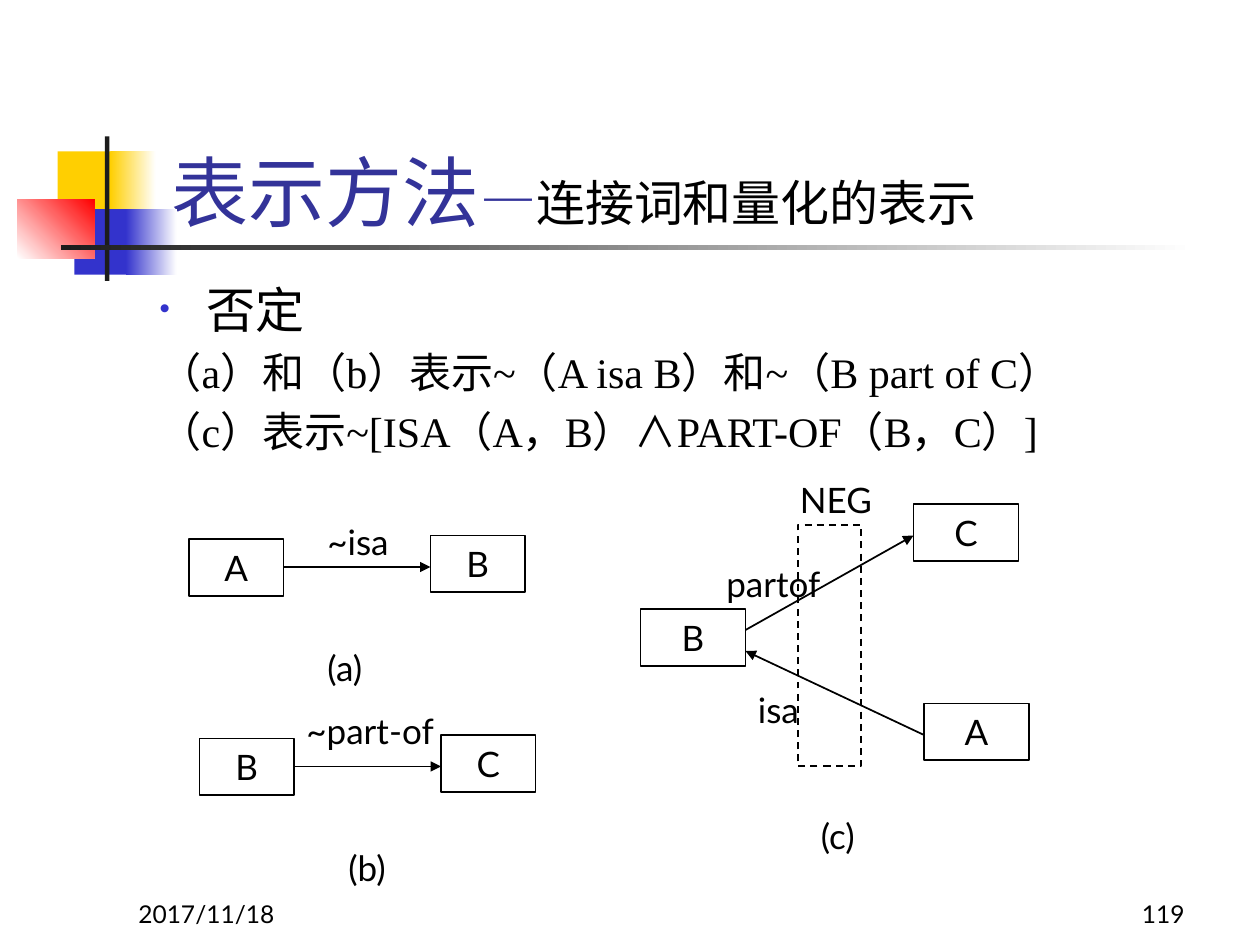
"""Build the slide on negation in semantic networks."""
from lxml import etree
from pptx import Presentation
from pptx.dml.color import RGBColor
from pptx.enum.dml import MSO_LINE_DASH_STYLE as DASH
from pptx.enum.shapes import MSO_CONNECTOR as CONNECTOR, MSO_SHAPE as SHAPE
from pptx.enum.text import MSO_ANCHOR as ANCHOR, MSO_AUTO_SIZE as AUTO_SIZE, PP_ALIGN as ALIGN
from pptx.oxml.ns import qn
from pptx.util import Pt

color = RGBColor.from_string
BLACK, BLUE, DARK = "000000", "3333CC", "1C1C1C"


def add_label(slide, text, left, top, width, height, size=20, align=ALIGN.LEFT,
              anchor=ANCHOR.TOP, boxed=False):
    """Add a line of text, optionally in an outlined box."""
    place = Pt(left), Pt(top), Pt(width), Pt(height)
    if boxed:
        shape = slide.shapes.add_shape(SHAPE.RECTANGLE, *place)
        shape.shadow.inherit = False
        shape.fill.background()
        shape.line.color.rgb = color(BLACK)
        shape.line.width = Pt(1)
    else:
        shape = slide.shapes.add_textbox(*place)
    frame = shape.text_frame
    frame.word_wrap = True
    frame.vertical_anchor = anchor
    frame.text = text
    paragraph = frame.paragraphs[0]
    paragraph.alignment = align
    paragraph.font.size = Pt(size)
    paragraph.font.name = "Lato"
    paragraph.font.color.rgb = color(BLACK)
    return shape


def add_arrow(slide, x1, y1, x2, y2):
    """Add a line with an arrowhead at its end."""
    arrow = slide.shapes.add_connector(CONNECTOR.STRAIGHT, Pt(x1), Pt(y1), Pt(x2), Pt(y2))
    arrow.line.color.rgb = color(BLACK)
    arrow.line.width = Pt(1)
    etree.SubElement(arrow.line._get_or_add_ln(), qn("a:tailEnd"), type="triangle")
    etree.SubElement(arrow._element.spPr, qn("a:effectLst"))


presentation = Presentation()
presentation.slide_width, presentation.slide_height = Pt(720), Pt(540)
slide = presentation.slides.add_slide(presentation.slide_layouts[1])
title, body = slide.placeholders

decorations = [
    (33, 86.5, 34.5, 37.5, ["FFCF01"], 0),
    (63, 86.5, 26, 37.5, ["FFCF01", "FFFFFF"], 0),
    (42.5, 119.5, 33, 37.5, [BLUE], 0),
    (72, 119.5, 29, 37.5, [BLUE, "FFFFFF"], 0),
    (10, 114, 44, 33.5, ["FFFFFF", "FF0000"], 45),
    (60, 78, 2.5, 82.5, [DARK], 0),
    (35, 140.2, 648, 2.5, [DARK, "FFFFFF"], 0),
]
for left, top, width, height, colors, angle in decorations:
    shape = slide.shapes.add_shape(SHAPE.RECTANGLE, Pt(left), Pt(top), Pt(width), Pt(height))
    shape.shadow.inherit = False
    shape.line.fill.background()
    if len(colors) == 1:
        shape.fill.solid()
        shape.fill.fore_color.rgb = color(colors[0])
    else:
        shape.fill.gradient()
        shape.fill.gradient_angle = angle
        for stop, value in zip(shape.fill.gradient_stops, colors):
            stop.color.rgb = color(value)

for text, left, align in [("2017/11/18", 72, ALIGN.LEFT), ("119", 534, ALIGN.RIGHT)]:
    add_label(slide, text, left, 498, 150, 36, 14, align, ANCHOR.BOTTOM)

title.left, title.top, title.width, title.height = Pt(91), Pt(49), Pt(613), Pt(90)
title.text_frame.auto_size = AUTO_SIZE.NONE
title.text_frame.vertical_anchor = ANCHOR.BOTTOM
paragraph = title.text_frame.paragraphs[0]
paragraph.alignment = ALIGN.LEFT
for text, size, value in [("表示方法", 44, "333399"), ("—", 32, "333399"),
                          ("连接词和量化的表示", 28, BLACK)]:
    run = paragraph.add_run()
    run.text = text
    run.font.size = Pt(size)
    run.font.name = "Lato"
    run.font.color.rgb = color(value)

body.left, body.top, body.width, body.height = Pt(84), Pt(156), Pt(612), Pt(114)
body.text_frame.auto_size = AUTO_SIZE.NONE
body.text_frame.text = ("否定\n（a）和（b）表示~（A isa B）和~（B part of C）\n"
                        "（c）表示~[ISA（A，B）∧PART-OF（B，C）]")
for index, paragraph in enumerate(body.text_frame.paragraphs):
    properties = paragraph._p.get_or_add_pPr()
    properties.set("marL", str(Pt(27)))
    properties.set("indent", str(Pt(-27)))
    paragraph.space_before = Pt(4.8 if index else 0)
    if index:
        etree.SubElement(properties, qn("a:buNone"))
    else:
        bullet_color = etree.SubElement(properties, qn("a:buClr"))
        etree.SubElement(bullet_color, qn("a:srgbClr"), val=BLUE)
        etree.SubElement(properties, qn("a:buSzPct"), val="60000")
        etree.SubElement(properties, qn("a:buFont"), typeface="Arial")
        etree.SubElement(properties, qn("a:buChar"), char="•")
    font = paragraph.runs[0].font
    font.size = Pt(24 if index else 28)
    font.name = "Times New Roman"
    font.color.rgb = color(BLACK)

boxes = [("B", 366, 348, 60), ("A", 528, 402, 60), ("C", 522, 288, 60)]
labels = [("NEG", 450, 270, 60), ("partof", 408, 318, 84), ("isa", 426, 390, 48),
          ("(c)", 462, 462, 54)]
arrows = [(426, 360, 522, 306), (528, 420, 426, 372)]

relations = [("A", "B", 108, 306, "~isa", 180, 294, "(a)", 180, 366),
             ("B", "C", 114, 420, "~part-of", 168, 402, "(b)", 192, 480)]
for source, target, left, top, name, name_x, name_y, caption, caption_x, caption_y in relations:
    boxes += [(source, left, top + 2, 54), (target, left + 138, top, 54)]
    arrows.append((left + 54, top + 18, left + 138, top + 18))
    labels += [(name, name_x, name_y, 102), (caption, caption_x, caption_y, 54)]

for text, left, top, width in boxes:
    add_label(slide, text, left, top, width, 32.4, align=ALIGN.CENTER,
              anchor=ANCHOR.MIDDLE, boxed=True)
negation = add_label(slide, "", 456, 300, 36, 138, boxed=True)
negation.line.dash_style = DASH.DASH
for arrow in arrows:
    add_arrow(slide, *arrow)
for text, left, top, width in labels:
    add_label(slide, text, left, top, width, 31)

presentation.save("out.pptx")
